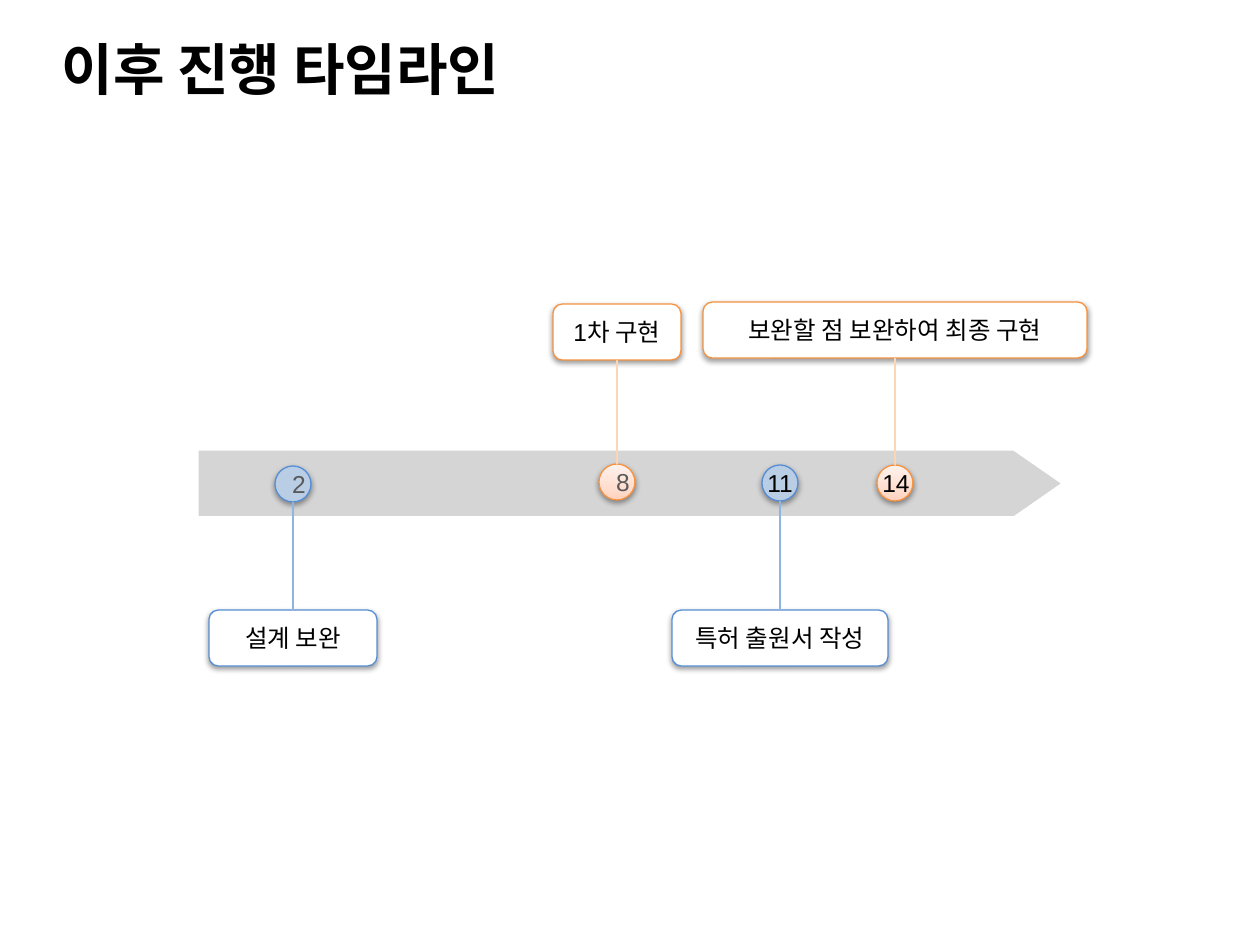
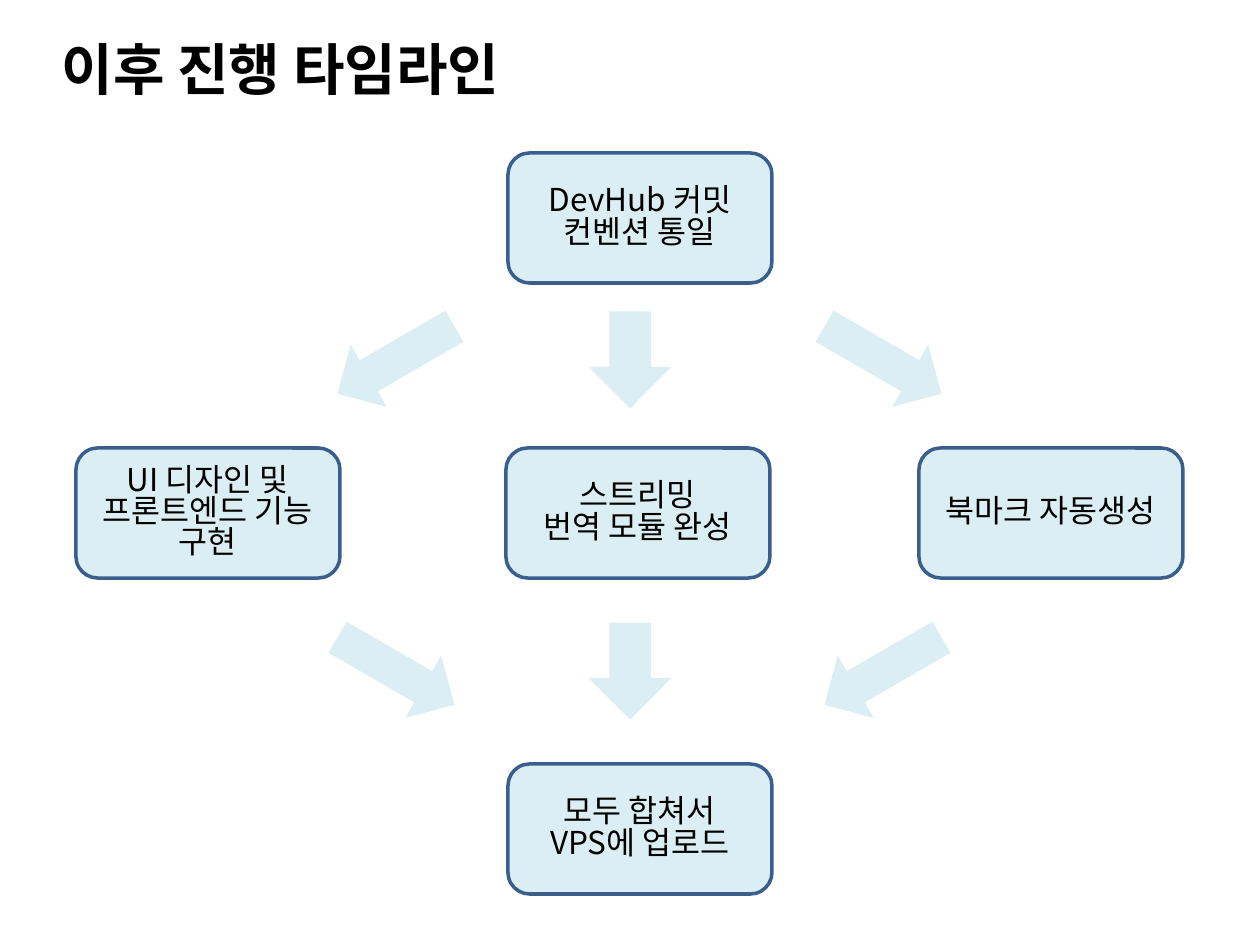
from lxml.etree import SubElement
from pptx import Presentation
from pptx.dml.color import RGBColor
from pptx.enum.shapes import MSO_CONNECTOR as Connector, MSO_SHAPE as Preset
from pptx.enum.text import MSO_ANCHOR as Anchor, MSO_AUTO_SIZE as Fit, PP_ALIGN as Align
from pptx.oxml.ns import qn
from pptx.util import Emu, Pt

# Shared scale, fonts and colours
PX_PER_INCH = 126
LATIN, KOREAN = "Arial", "Noto Sans CJK KR"
BLACK, GREY, WHITE = "000000", "595959", "FFFFFF"
BAND, STEP_FILL, STEP_LINE = "D5D5D5", "DBEEF4", "3A5F8C"
PEACH = ((0, "FFD2BD"), (35, "FFDED0"), (100, "FFF2ED"))
BLUE_STYLE = {"fill": "B9CDE5", "line": "558ED5", "stem": "8EB4E3"}
ORANGE_STYLE = {"fill": PEACH, "line": "F69240", "stem": "FCD5B5"}

# Text formats
TITLE = {"name": KOREAN, "size": Pt(32), "bold": True}
LABEL = {"name": LATIN, "size": Pt(14)}
STEP = {"name": KOREAN, "size": Pt(18)}
BOTTOM, TOP = 2, 0


def px(length):
    return Emu(round(length * 914400 / PX_PER_INCH))


def ink(hex_code):
    return RGBColor.from_string(hex_code)


def apply(target, values):
    for name, value in values.items():
        setattr(target, name, value)


def write(shape, lines, font, color=BLACK, align=Align.CENTER, spacing=None, **frame_format):
    """Fill a shape with one paragraph per line."""
    frame = shape.text_frame
    apply(frame, {"word_wrap": True, "vertical_anchor": Anchor.MIDDLE} | frame_format)
    for index, line in enumerate(lines):
        para = frame.add_paragraph() if index else frame.paragraphs[0]
        apply(para, {"alignment": align, "line_spacing": spacing})
        span = para.add_run()
        span.text = line
        apply(span.font, font)
        span.font.color.rgb = ink(color)
        SubElement(span._r.get_or_add_rPr(), qn("a:ea"), typeface=KOREAN)


def paint_gradient(shape, stops):
    shape.fill.gradient()
    shape.fill.gradient_angle = 90
    stop_list = shape._element.spPr.find(".//" + qn("a:gsLst"))
    for stop in list(stop_list):
        stop_list.remove(stop)
    for percent, color in stops:
        stop = SubElement(stop_list, qn("a:gs"), pos=str(percent * 1000))
        SubElement(stop, qn("a:srgbClr"), val=color)


def add_preset(page, preset, bounds, fill, line=None, weight=0.75, rotation=0):
    shape = page.shapes.add_shape(preset, *map(px, bounds))
    shape.shadow.inherit = False
    shape.rotation = rotation
    if isinstance(fill, tuple):
        paint_gradient(shape, fill)
    else:
        shape.fill.solid()
        shape.fill.fore_color.rgb = ink(fill)
    if line:
        shape.line.color.rgb = ink(line)
        shape.line.width = Pt(weight)
    else:
        shape.line.fill.background()
    return shape


def add_soft_shadow(shape):
    effects = shape._element.spPr.find(qn("a:effectLst"))
    shadow = SubElement(effects, qn("a:outerShdw"), blurRad="40000", dist="20000",
                        dir="5400000", rotWithShape="0")
    color = SubElement(shadow, qn("a:srgbClr"), val=BLACK)
    SubElement(color, qn("a:alpha"), val="38000")


def add_stem(page, box, side, x, start, end, color):
    """Vertical line from a label box to its marker."""
    stem = page.shapes.add_connector(Connector.STRAIGHT, px(x), px(start), px(x), px(end))
    stem.begin_connect(box, side)
    stem.line.color.rgb = ink(color)
    stem.line.width = Pt(1.5)
    SubElement(stem._element.spPr, qn("a:effectLst"))


def add_milestone(page, week, x, marker_top, label, width, box_top, style):
    size, height = 36, 56
    marker = add_preset(page, Preset.OVAL, (x - size // 2, marker_top, size, size),
                        style["fill"], style["line"])
    box = add_preset(page, Preset.ROUNDED_RECTANGLE,
                     (x - width // 2, box_top, width, height), WHITE, style["line"])
    for shape in (marker, box):
        add_soft_shadow(shape)
    write(box, [label], LABEL)
    if box_top < marker_top:
        add_stem(page, box, BOTTOM, x, box_top + height, marker_top, style["stem"])
    else:
        add_stem(page, box, TOP, x, box_top, marker_top + size, style["stem"])

    # One digit sits in the marker, two digits in a text box over it
    if len(week) == 1:
        write(marker, [week], LABEL, GREY, word_wrap=False, margin_left=px(12),
              margin_right=0, margin_top=0, margin_bottom=0)
    else:
        number = page.shapes.add_textbox(px(x - 25), px(marker_top - 3), px(78), px(43))
        write(number, [week], LABEL, align=Align.LEFT, vertical_anchor=Anchor.TOP)


def add_step(page, left, top, lines):
    box = add_preset(page, Preset.ROUNDED_RECTANGLE, (left, top, 264, 130),
                     STEP_FILL, STEP_LINE, weight=2)
    write(box, lines, STEP, spacing=0.83)


def add_arrow_row(page, center, rotations):
    """Three arrows in a row, the middle one pointing down."""
    sizes = ((135, 72), (97, 83), (135, 72))
    for x, (width, height), rotation in zip((396, 630, 883), sizes, rotations):
        bounds = (x - width / 2, center - height / 2, width, height)
        add_preset(page, Preset.RIGHT_ARROW, bounds, STEP_FILL, rotation=rotation)


def add_page(deck, title):
    page = deck.slides.add_slide(deck.slide_layouts[5])
    holder = page.shapes.title
    apply(holder, {"left": px(49), "top": px(28), "width": px(1134), "height": px(81)})
    write(holder, [title], TITLE, align=Align.LEFT, auto_size=Fit.NONE)
    return page


def build_timeline(page):
    band = add_preset(page, Preset.RIGHT_ARROW, (197, 449, 867, 69), BAND, WHITE, weight=2)
    band.adjustments[0], band.adjustments[1] = 1, 0.72
    milestones = (
        ("2", 293, 466, "설계 보완", 168, 610, BLUE_STYLE),
        ("14", 895, 465, "보완할 점 보완하여 최종 구현", 384, 302, ORANGE_STYLE),
        ("8", 617, 464, "1차 구현", 128, 304, ORANGE_STYLE),
        ("11", 780, 465, "특허 출원서 작성", 216, 610, BLUE_STYLE),
    )
    for milestone in milestones:
        add_milestone(page, *milestone)


def build_work_flow(page):
    steps = (
        (508, 153, ["DevHub 커밋 컨벤션 통일"]),
        (76, 448, ["UI 디자인 및", "프론트엔드 기능 구현"]),
        (506, 448, ["스트리밍", "번역 모듈 완성"]),
        (919, 448, ["북마크 자동생성"]),
        (508, 764, ["모두 합쳐서", "VPS에 업로드"]),
    )
    for step in steps:
        add_step(page, *step)
    add_arrow_row(page, 360, (150, 90, 30))
    add_arrow_row(page, 671, (30, 90, 150))


def main():
    deck = Presentation()
    apply(deck, {"slide_width": px(1260), "slide_height": px(945)})
    for build in (build_timeline, build_work_flow):
        build(add_page(deck, "이후 진행 타임라인"))
    deck.save("out.pptx")


if __name__ == "__main__":
    main()
